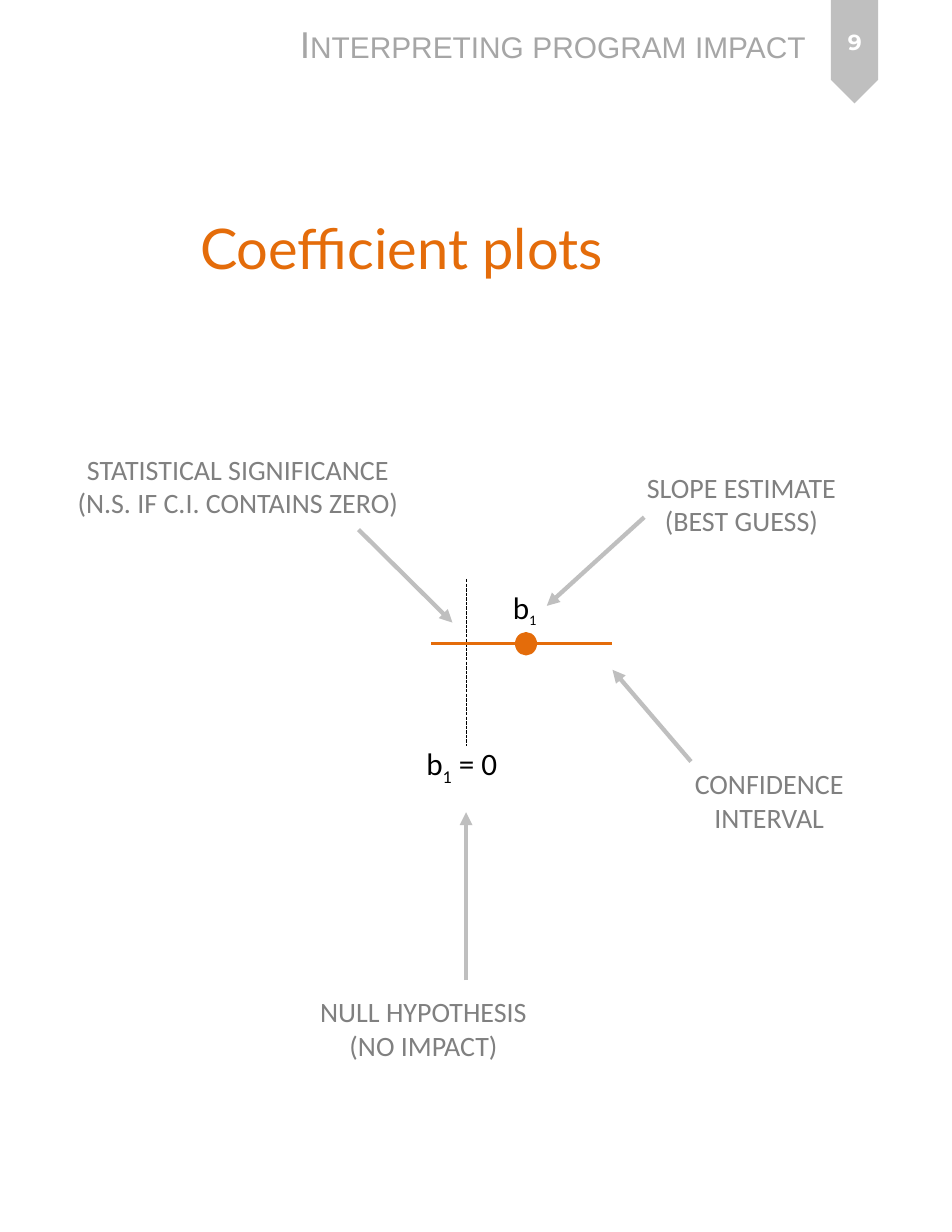
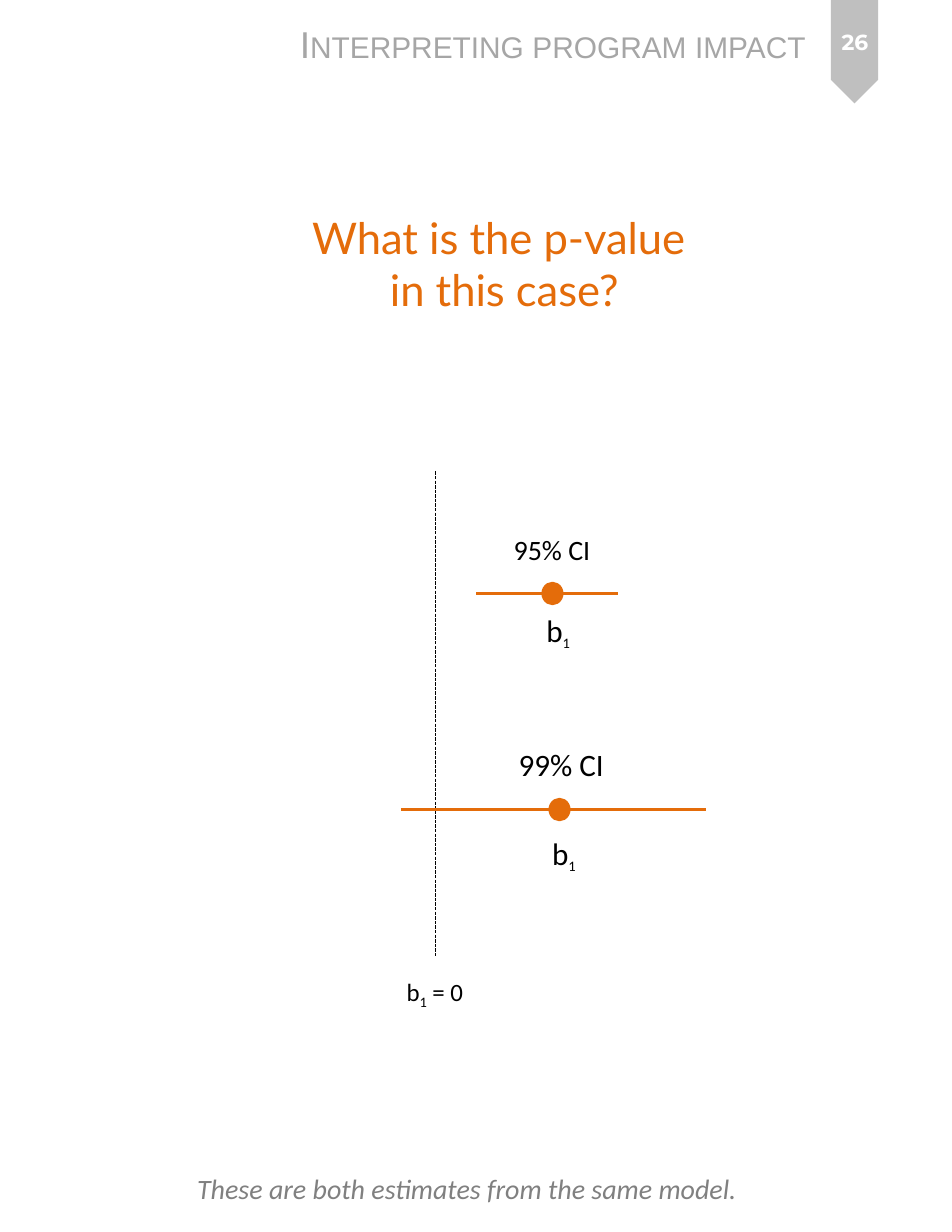
from lxml.etree import SubElement
from pptx import Presentation
from pptx.dml.color import RGBColor
from pptx.enum.dml import MSO_LINE
from pptx.enum.shapes import MSO_CONNECTOR, MSO_SHAPE
from pptx.enum.text import MSO_ANCHOR, MSO_AUTO_SIZE, PP_ALIGN
from pptx.oxml.ns import qn
from pptx.util import Cm, Pt

ORANGE = RGBColor(0xE4, 0x6C, 0x0A)
BLACK = RGBColor(0x00, 0x00, 0x00)
WHITE = RGBColor(0xFF, 0xFF, 0xFF)
GREY = RGBColor(0x80, 0x80, 0x80)
HEADER_GREY = RGBColor(0xA6, 0xA6, 0xA6)
LIGHT_GREY = RGBColor(0xBF, 0xBF, 0xBF)

BODY_FONT = "Calibri"
HEADING_FONT = "Lato"
HEADER_FONT = "Arial"
NUMBER_FONT = "Montserrat"

DOT_WIDTH, DOT_HEIGHT = 0.43, 0.46


class Deck:
    """Holds the style and the current slide; positions are in centimetres."""

    def __init__(self):
        self.presentation = Presentation()
        self.presentation.slide_width = Cm(21.59)
        self.presentation.slide_height = Cm(27.94)
        self.slide = None

    def add_slide(self, number):
        """Start a slide with the running header and the page marker."""
        blank = self.presentation.slide_layouts[6]
        self.slide = self.presentation.slides.add_slide(blank)
        marker = self.filled_shape(MSO_SHAPE.PENTAGON, (18.21, 0.64, 2.34, 1.07), LIGHT_GREY)
        marker.rotation = 90
        header = self.text("Interpreting program impact", (6.55, 0.36, 12.6, 1.27),
                           24, HEADER_GREY, font=HEADER_FONT)
        for run in header.paragraphs[0].runs:
            run._r.get_or_add_rPr().set("cap", "small")
        page = self.text(str(number), (18.44, 0.2, 1.9, 1.5), 14, WHITE, font=NUMBER_FONT,
                         align=PP_ALIGN.CENTER, wrap=True, bold=True)
        page.auto_size = MSO_AUTO_SIZE.NONE
        page.vertical_anchor = MSO_ANCHOR.MIDDLE

    def filled_shape(self, kind, box, colour):
        shape = self.slide.shapes.add_shape(kind, *map(Cm, box))
        shape.shadow.inherit = False
        shape.fill.solid()
        shape.fill.fore_color.rgb = colour
        shape.line.fill.background()
        return shape

    def text(self, content, box, size, colour=BLACK, font=BODY_FONT,
             align=PP_ALIGN.LEFT, wrap=False, bold=False, italic=False):
        frame = self.slide.shapes.add_textbox(*map(Cm, box)).text_frame
        frame.word_wrap = wrap
        frame.auto_size = MSO_AUTO_SIZE.SHAPE_TO_FIT_TEXT
        frame.text = content
        for paragraph in frame.paragraphs:
            paragraph.alignment = align
            for run in paragraph.runs:
                self.format_run(run, size, colour, font, bold, italic)
        return frame

    def format_run(self, run, size, colour, font, bold=False, italic=False):
        run.font.size = Pt(size)
        run.font.name = font
        run.font.color.rgb = colour
        run.font.bold = bold
        run.font.italic = italic

    def heading(self, content, box, size, align=PP_ALIGN.LEFT):
        self.text(content, box, size, ORANGE, HEADING_FONT, align, wrap=True)

    def callout(self, content, box):
        self.text(content, box, 18, GREY, align=PP_ALIGN.CENTER)

    def coefficient(self, box, size=20, subscript_size=16, suffix=""):
        """Write b with a subscript 1, followed by the suffix."""
        paragraph = self.text("b", box, size).paragraphs[0]
        subscript = paragraph.add_run()
        subscript.text = "1"
        self.format_run(subscript, subscript_size, BLACK, BODY_FONT)
        subscript._r.get_or_add_rPr().set("baseline", "-25000")
        if suffix:
            ending = paragraph.add_run()
            ending.text = suffix
            self.format_run(ending, size, BLACK, BODY_FONT)

    def line(self, start, end, colour, width):
        connector = self.slide.shapes.add_connector(
            MSO_CONNECTOR.STRAIGHT, *map(Cm, (*start, *end)))
        connector.line.color.rgb = colour
        connector.line.width = Pt(width)
        SubElement(connector._element.spPr, qn("a:effectLst"))
        return connector

    def arrow(self, start, end):
        connector = self.line(start, end, LIGHT_GREY, 2.75)
        SubElement(connector.line._get_or_add_ln(), qn("a:tailEnd"), type="triangle")

    def zero_line(self, x, top, bottom):
        connector = self.line((x, top), (x, bottom), BLACK, 0.75)
        connector.line.dash_style = MSO_LINE.SQUARE_DOT

    def interval(self, left, right, y, estimate):
        """Draw a confidence interval with a dot at the estimate."""
        self.line((left, y), (right, y), ORANGE, 2)
        dot = self.filled_shape(
            MSO_SHAPE.OVAL,
            (estimate - DOT_WIDTH / 2, y - DOT_HEIGHT / 2, DOT_WIDTH, DOT_HEIGHT), ORANGE)
        dot.line.color.rgb = ORANGE
        dot.line.width = Pt(2)


def add_coefficient_plots(deck):
    deck.add_slide(9)
    deck.heading("Coefficient plots", (4.29, 4.72, 14.61, 1.8), 36)

    deck.zero_line(10.57, 13.13, 16.92)
    deck.coefficient((9.42, 16.76, 2.16, 1.12), subscript_size=20, suffix=" = 0")
    deck.interval(9.78, 13.89, 14.6, estimate=11.93)
    deck.coefficient((11.38, 13.21, 1.07, 1.12))

    callouts = [
        ("STATISTICAL SIGNIFICANCE\v(N.S. IF C.I. CONTAINS ZERO)",
         (1.47, 10.13, 7.85, 1.8), (8.13, 12.01), (10.26, 14.12)),
        ("SLOPE ESTIMATE\n(BEST GUESS)",
         (14.4, 10.54, 4.83, 1.8), (14.61, 11.73), (12.4, 13.74)),
        ("CONFIDENCE\vINTERVAL",
         (15.49, 17.27, 3.91, 1.8), (15.67, 17.27), (13.89, 15.19)),
        ("NULL HYPOTHESIS\n(NO IMPACT)",
         (6.99, 22.43, 5.23, 1.8), (10.57, 22.23), (10.57, 18.42)),
    ]
    for content, box, start, end in callouts:
        deck.callout(content, box)
        deck.arrow(start, end)


def add_p_value_question(deck):
    deck.add_slide(26)
    deck.heading("What is the p-value \vin this case?", (3.18, 4.65, 16.51, 2.64), 28,
                 PP_ALIGN.CENTER)

    deck.zero_line(9.88, 10.69, 21.69)
    deck.coefficient((8.97, 22.02, 1.83, 0.94), 16, 16, " = 0")

    deck.text("95% CI", (11.4, 11.96, 2.26, 1.02), 18)
    deck.interval(10.8, 14.02, 13.46, estimate=12.53)
    deck.coefficient((12.14, 13.74, 1.07, 1.12))

    deck.text("99% CI", (11.51, 16.79, 2.46, 1.12), 20)
    deck.interval(9.09, 16, 18.36, estimate=12.69)
    deck.coefficient((12.27, 18.8, 1.07, 1.12))

    deck.text("These are both estimates from the same model.",
              (4.22, 26.44, 13.16, 1.02), 18, GREY, italic=True)


def main():
    deck = Deck()
    add_coefficient_plots(deck)
    add_p_value_question(deck)
    deck.presentation.save("out.pptx")


if __name__ == "__main__":
    main()
